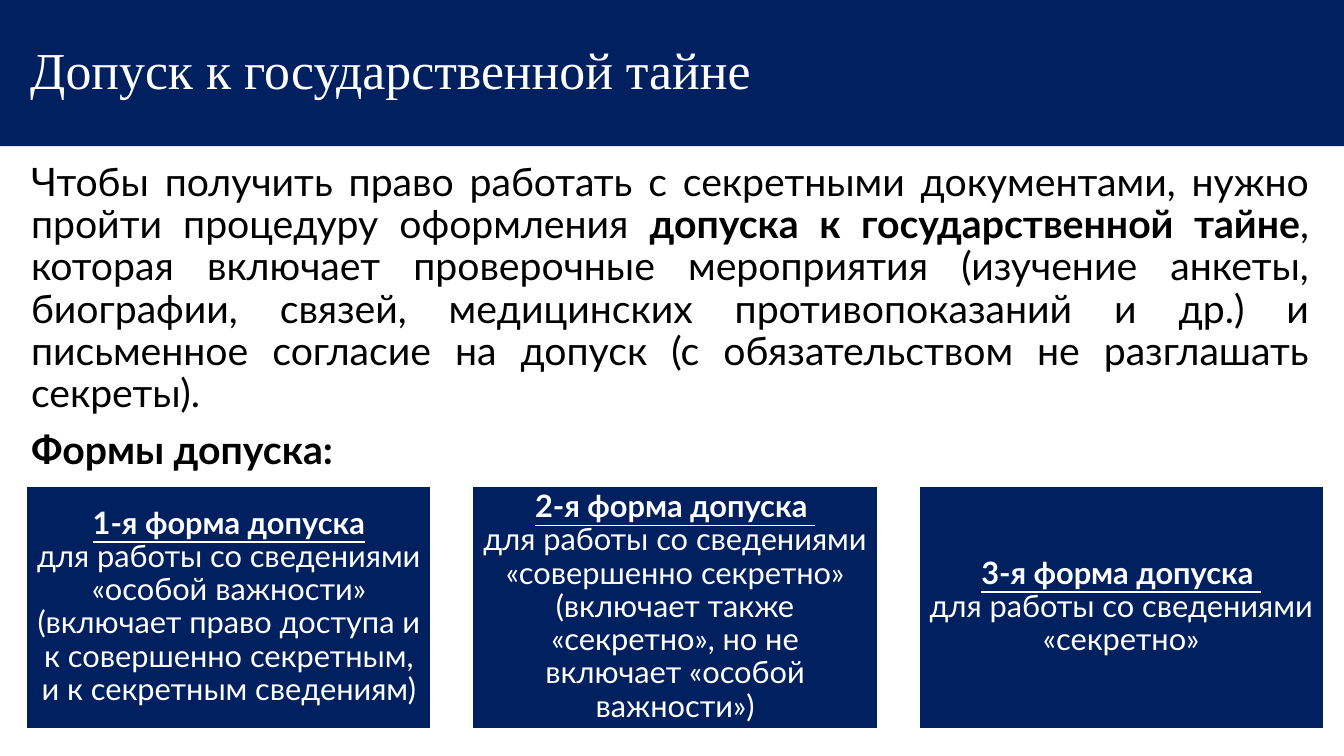
from pptx import Presentation
from pptx.dml.color import RGBColor
from pptx.enum.shapes import MSO_SHAPE
from pptx.enum.text import MSO_ANCHOR, MSO_AUTO_SIZE, PP_ALIGN
from pptx.util import Inches, Pt

RECT = MSO_SHAPE.RECTANGLE
TOP, MIDDLE = MSO_ANCHOR.TOP, MSO_ANCHOR.MIDDLE
LEFT, CENTER, JUSTIFY = PP_ALIGN.LEFT, PP_ALIGN.CENTER, PP_ALIGN.JUSTIFY
NO_FIT = MSO_AUTO_SIZE.NONE

NAVY, WHITE, BLACK = "002060", "FFFFFF", "000000"
SLIDE_W, SLIDE_H = 13.33, 7.5

# Grid of the three cards
CARD_LEFT, CARD_TOP = 0.26, 4.82
CARD_W, CARD_H, CARD_STEP = 4.02, 2.41, 4.425

TITLE_FONT = {"name": "Times New Roman", "size": Pt(37), "bold": False}
BODY_FONT = {"name": "Lato", "size": Pt(28), "bold": False}
BODY_BOLD = {**BODY_FONT, "bold": True}
CARD_FONT = {"name": "Lato", "size": Pt(22), "bold": False}
CARD_HEAD = {**CARD_FONT, "bold": True, "underline": True}

CARDS = [
    ("1-я форма допуска",
     "для работы со сведениями «особой важности» (включает право доступа "
     "и к совершенно секретным, и к секретным сведениям)"),
    ("2-я форма допуска ",
     "для работы со сведениями «совершенно секретно» (включает также "
     "«секретно», но не включает «особой важности»)"),
    ("3-я форма допуска ",
     "для работы со сведениями «секретно»"),
]


def paint(target, color):
    """Fill a shape, or anything else with a fill, with a plain colour."""
    target.fill.solid()
    target.fill.fore_color.rgb = RGBColor.from_string(color)


def set_frame(sp, anchor, side=0.1, edge=0.05):
    tf = sp.text_frame
    frame = {"word_wrap": True, "auto_size": NO_FIT, "vertical_anchor": anchor,
             "margin_left": Inches(side), "margin_right": Inches(side),
             "margin_top": Inches(edge), "margin_bottom": Inches(edge)}
    for key, value in frame.items():
        setattr(tf, key, value)
    return tf


def set_paragraph(p, align, before=0):
    layout = {"alignment": align, "line_spacing": 0.9,
              "space_before": Pt(before), "space_after": Pt(0)}
    for key, value in layout.items():
        setattr(p, key, value)


def add_run(p, text, font, color):
    r = p.add_run()
    r.text = text
    for key, value in font.items():
        setattr(r.font, key, value)
    r.font.color.rgb = RGBColor.from_string(color)


def add_title(slide, text):
    sp = slide.shapes.title
    sp.left, sp.top = 0, 0
    sp.width, sp.height = Inches(SLIDE_W), Inches(1.45)
    paint(sp, NAVY)
    p = set_frame(sp, MIDDLE, side=0.3).paragraphs[0]
    set_paragraph(p, LEFT)
    add_run(p, text, TITLE_FONT, WHITE)


def add_body(slide):
    sp = slide.shapes.add_textbox(Inches(0.21), Inches(1.56), Inches(12.87), Inches(3.2))
    tf = set_frame(sp, TOP)
    p = tf.paragraphs[0]
    set_paragraph(p, JUSTIFY)
    add_run(p, "Чтобы получить право работать с секретными документами, нужно "
               "пройти процедуру оформления ", BODY_FONT, BLACK)
    add_run(p, "допуска к государственной тайне", BODY_BOLD, BLACK)
    add_run(p, ", которая включает проверочные мероприятия (изучение анкеты, "
               "биографии, связей, медицинских противопоказаний и др.) и письменное "
               "согласие на допуск (с обязательством не разглашать секреты).",
            BODY_FONT, BLACK)
    p = tf.add_paragraph()
    set_paragraph(p, JUSTIFY, before=10)
    add_run(p, "Формы допуска:", BODY_BOLD, BLACK)


def add_card(slide, column, heading, text):
    sp = slide.shapes.add_shape(RECT, Inches(CARD_LEFT + column * CARD_STEP),
                                Inches(CARD_TOP), Inches(CARD_W), Inches(CARD_H))
    sp.shadow.inherit = False
    paint(sp, NAVY)
    paint(sp.line, WHITE)
    sp.line.width = Pt(1.5)
    p = set_frame(sp, MIDDLE, side=0.09, edge=0.09).paragraphs[0]
    set_paragraph(p, CENTER)
    add_run(p, heading, CARD_HEAD, WHITE)
    p.add_line_break()
    add_run(p, text, CARD_FONT, WHITE)


def main():
    prs = Presentation()
    prs.slide_width, prs.slide_height = Inches(SLIDE_W), Inches(SLIDE_H)
    slide = prs.slides.add_slide(prs.slide_layouts[5])

    # Heading band and explanation
    add_title(slide, "Допуск к государственной тайне")
    add_body(slide)

    # Clearance forms
    for column, (heading, text) in enumerate(CARDS):
        add_card(slide, column, heading, text)

    prs.save("out.pptx")


if __name__ == "__main__":
    main()
